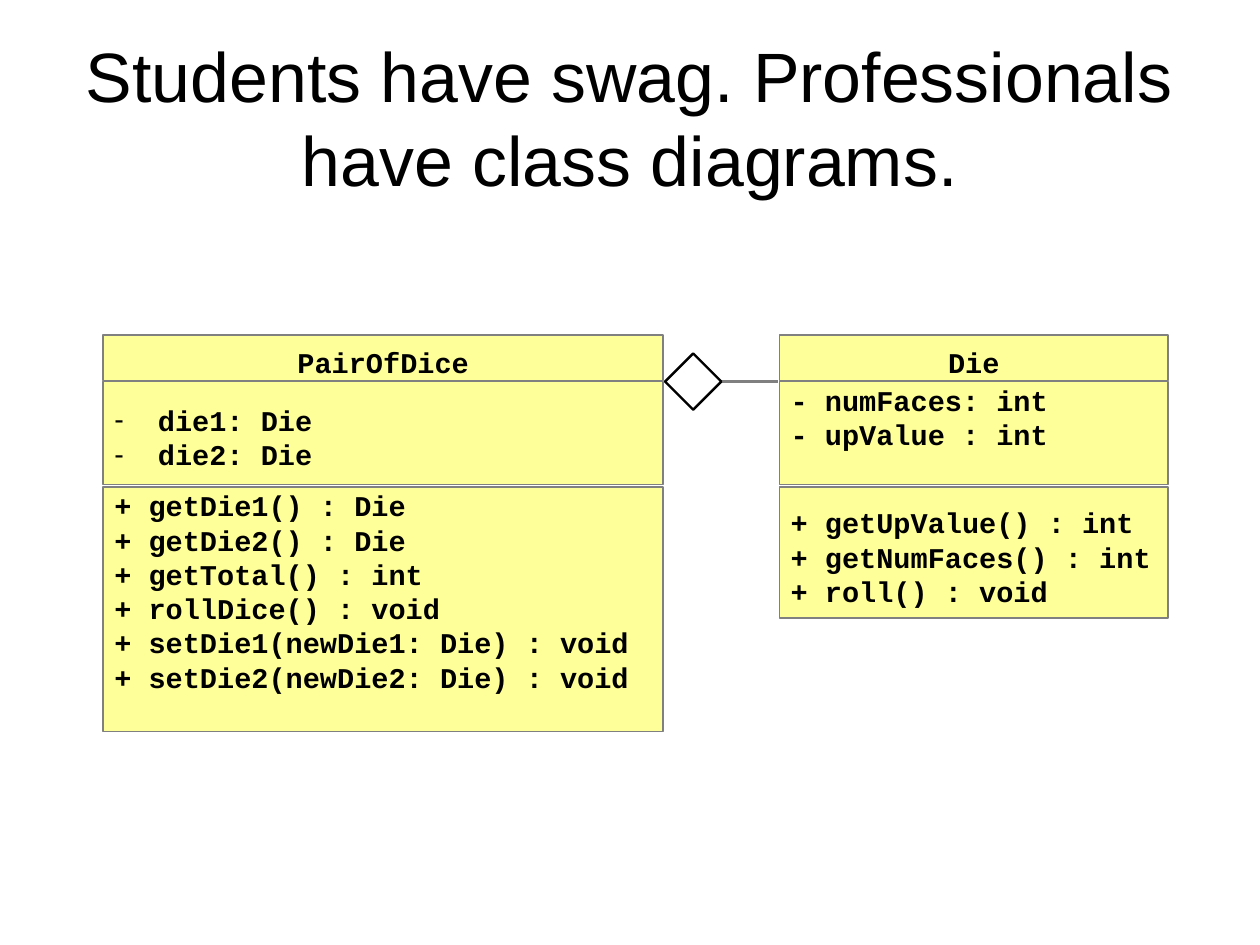
import pptx
import pptx.util
import pptx.dml.color
import pptx.enum.shapes
import pptx.enum.text
import pptx.oxml.ns
import lxml.etree

Cm = pptx.util.Cm
Pt = pptx.util.Pt
Align = pptx.enum.text.PP_ALIGN
Anchor = pptx.enum.text.MSO_ANCHOR
Preset = pptx.enum.shapes.MSO_SHAPE
COLORS = {"ink": "000000", "class": "FFFF99", "border": "808080"}


def color(name):
    return pptx.dml.color.RGBColor.from_string(COLORS[name])


def add_child(parent, tag, **attributes):
    return lxml.etree.SubElement(parent, pptx.oxml.ns.qn(tag), attributes)


def write_text(frame, lines, font="Courier New", size=18, bold=True, spacing=21.6,
               align=Align.LEFT, anchor=Anchor.MIDDLE, margins=(0.25, 0.18, 0.25, 0),
               bullet=None):
    frame.word_wrap = True
    frame.auto_size = pptx.enum.text.MSO_AUTO_SIZE.NONE
    frame.vertical_anchor = anchor
    (frame.margin_left, frame.margin_top,
     frame.margin_right, frame.margin_bottom) = map(Cm, margins)
    for index, line in enumerate(lines):
        paragraph = frame.paragraphs[0] if index == 0 else frame.add_paragraph()
        paragraph.alignment = align
        paragraph.line_spacing = Pt(spacing)
        if bullet:
            properties = paragraph._p.get_or_add_pPr()
            properties.set("marL", str(Cm(0.97)))
            properties.set("indent", str(Cm(-0.97)))
            bullet_color = add_child(properties, "a:buClr")
            add_child(bullet_color, "a:srgbClr", val=COLORS["ink"])
            add_child(properties, "a:buFont", typeface="Arial")
            add_child(properties, "a:buChar", char=bullet)
        run = paragraph.add_run()
        run.text = line
        run.font.name = font
        run.font.size = Pt(size)
        run.font.bold = bold
        run.font.color.rgb = color("ink")


class ClassDiagram:
    top = 7.44
    header_height = 1.02
    attributes_top = 8.48
    attributes_height = 2.29
    methods_top = 10.82

    def __init__(self, slide):
        self.slide = slide

    def title(self, text):
        shape = self.slide.shapes.title
        shape.left, shape.top, shape.width, shape.height = map(Cm, (1.4, 0.84, 25.2, 3.5))
        write_text(shape.text_frame, [text], font="Arial", size=44, bold=False,
                   spacing=52.9, align=Align.CENTER, margins=(0, 0, 0, 0))

    def shape(self, preset, bounds, line, line_width, fill=None):
        shape = self.slide.shapes.add_shape(preset, *map(Cm, bounds))
        shape.shadow.inherit = False
        if fill:
            shape.fill.solid()
            shape.fill.fore_color.rgb = color(fill)
        else:
            shape.fill.background()
        shape.line.color.rgb = color(line)
        shape.line.width = Pt(line_width)
        return shape

    def compartment(self, bounds, lines, **text_format):
        shape = self.shape(Preset.RECTANGLE, bounds, "border", 1, "class")
        write_text(shape.text_frame, lines, **text_format)

    def class_box(self, left, width, name, attributes, methods, methods_height,
                  attribute_format, method_format):
        self.compartment((left, self.top, width, self.header_height), [name],
                         align=Align.CENTER)
        self.compartment((left, self.attributes_top, width, self.attributes_height),
                         attributes, **attribute_format)
        self.compartment((left, self.methods_top, width, methods_height),
                         methods, **method_format)

    def aggregation(self, left, right, size=1.25):
        middle = self.attributes_top
        connector = self.slide.shapes.add_connector(
            pptx.enum.shapes.MSO_CONNECTOR.STRAIGHT,
            *map(Cm, (left + size, middle, right, middle)))
        connector.line.color.rgb = color("border")
        connector.line.width = Pt(1.5)
        add_child(connector._element.spPr, "a:effectLst")
        self.shape(Preset.FLOWCHART_DECISION,
                   (left, middle - size / 2, size, size), "ink", 1.5)


def main():
    presentation = pptx.Presentation()
    presentation.slide_width = Cm(28)
    presentation.slide_height = Cm(21)
    slide = presentation.slides.add_slide(presentation.slide_layouts[5])
    diagram = ClassDiagram(slide)
    upper = {"anchor": Anchor.TOP, "margins": (0.25, 0.03, 0.25, 0)}

    diagram.title("Students have swag. Professionals have class diagrams.")
    diagram.class_box(
        17.32, 8.64, "Die",
        ["- numFaces: int", "- upValue : int"],
        ["+ getUpValue() : int", "+ getNumFaces() : int", "+ roll() : void"],
        2.92, upper, {})
    diagram.class_box(
        2.29, 12.45, "PairOfDice",
        ["die1: Die", "die2: Die"],
        ["+ getDie1() : Die", "+ getDie2() : Die", "+ getTotal() : int",
         "+ rollDice() : void", "+ setDie1(newDie1: Die) : void",
         "+ setDie2(newDie2: Die) : void"],
        5.44, {"bullet": "-"}, upper)
    diagram.aggregation(14.78, 17.28)
    presentation.save("out.pptx")


if __name__ == "__main__":
    main()
